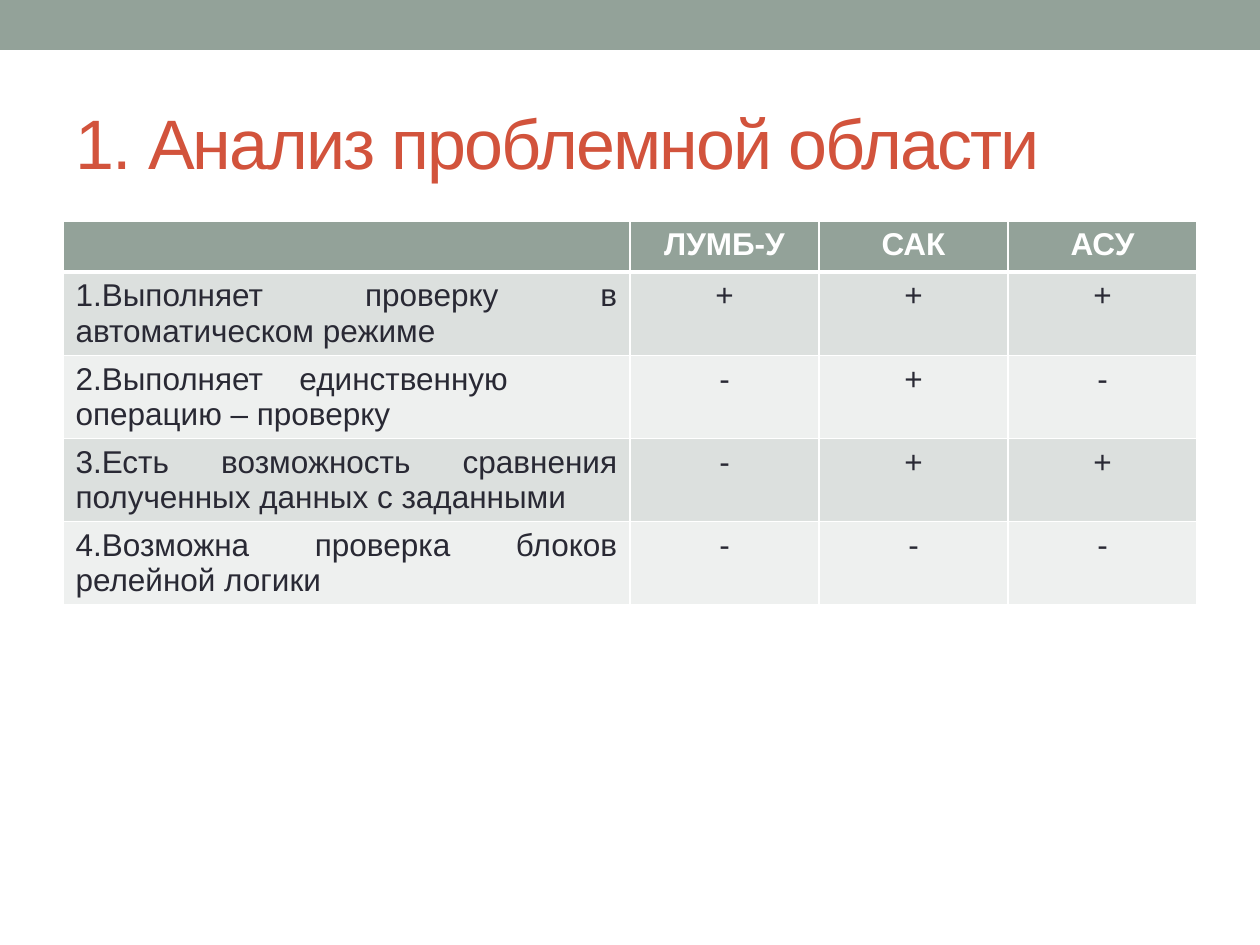
from lxml import etree
from pptx import Presentation
from pptx.dml.color import RGBColor
from pptx.enum.shapes import MSO_SHAPE
from pptx.enum.text import MSO_ANCHOR, MSO_AUTO_SIZE, PP_ALIGN
from pptx.oxml.ns import qn
from pptx.util import Pt

RECT = MSO_SHAPE.RECTANGLE
MIDDLE = MSO_ANCHOR.MIDDLE
NO_FIT = MSO_AUTO_SIZE.NONE
LEFT, CENTER, JUSTIFY = PP_ALIGN.LEFT, PP_ALIGN.CENTER, PP_ALIGN.JUSTIFY

SAGE = RGBColor(0x93, 0xA2, 0x99)
RUST = RGBColor(0xD2, 0x53, 0x3C)
INK = RGBColor(0x29, 0x29, 0x34)
WHITE = RGBColor(0xFF, 0xFF, 0xFF)
BANDS = [RGBColor(0xDC, 0xE0, 0xDE), RGBColor(0xEE, 0xF0, 0xEF)]

FONT = "Arial"
EMU_PER_PX = 914400 / 126

COL_WIDTHS = [567, 189, 189, 189]
HEADER_HEIGHT, ROW_HEIGHT = 51, 83
NARROW_ROW, NARROW_MARGIN = 2, 122
ROWS = [
    ["", "ЛУМБ-У", "САК", "АСУ"],
    ["1.Выполняет проверку в автоматическом режиме", "+", "+", "+"],
    ["2.Выполняет единственную операцию – проверку", "-", "+", "-"],
    ["3.Есть возможность сравнения полученных данных с заданными", "-", "+", "+"],
    ["4.Возможна проверка блоков релейной логики", "-", "-", "-"],
]


def px(n):
    return round(n * EMU_PER_PX)


def style_runs(p, size, color, bold=False):
    for r in p.runs:
        r.font.name = FONT
        r.font.size = Pt(size)
        r.font.bold = bold
        r.font.color.rgb = color


def add_band(s, x, y, w, h):
    sp = s.shapes.add_shape(RECT, px(x), px(y), px(w), px(h))
    sp.shadow.inherit = False
    sp.fill.solid()
    sp.fill.fore_color.rgb = SAGE
    sp.line.fill.background()


def set_title(s, x, y, w, h):
    sp = s.shapes.title
    sp.left, sp.top, sp.width, sp.height = px(x), px(y), px(w), px(h)
    tf = sp.text_frame
    tf.text = "1. Анализ проблемной области"
    tf.auto_size = NO_FIT
    tf.vertical_anchor = MIDDLE
    p = tf.paragraphs[0]
    p.alignment = LEFT
    style_runs(p, 40, RUST)
    p.runs[0].font._element.set("spc", "-100")


def set_borders(cell, bottom, top):
    """Draw white cell borders; bottom and top widths are in points."""
    tc_pr = cell._tc.get_or_add_tcPr()
    sides = [("a:lnL", 1), ("a:lnR", 1), ("a:lnT", top), ("a:lnB", bottom)]
    for i, (tag, width) in enumerate(sides):
        ln = etree.Element(qn(tag), w=str(Pt(width)))
        fill = etree.SubElement(ln, qn("a:solidFill"))
        etree.SubElement(fill, qn("a:srgbClr"), val=str(WHITE))
        tc_pr.insert(i, ln)


def add_comparison_table(s, x, y):
    height = HEADER_HEIGHT + ROW_HEIGHT * (len(ROWS) - 1)
    table = s.shapes.add_table(len(ROWS), len(COL_WIDTHS), px(x), px(y),
                               px(sum(COL_WIDTHS)), px(height)).table
    for col, width in zip(table.columns, COL_WIDTHS):
        col.width = px(width)
    for i, texts in enumerate(ROWS):
        header = i == 0
        table.rows[i].height = px(HEADER_HEIGHT if header else ROW_HEIGHT)
        for j, text in enumerate(texts):
            cell = table.cell(i, j)
            cell.text = text
            cell.fill.solid()
            cell.fill.fore_color.rgb = SAGE if header else BANDS[(i - 1) % 2]
            p = cell.text_frame.paragraphs[0]
            p.alignment = JUSTIFY if j == 0 and not header else CENTER
            style_runs(p, 18, WHITE if header else INK, header)
            set_borders(cell, bottom=3 if header else 1, top=3 if i == 1 else 1)
    table.cell(NARROW_ROW, 0).margin_right = px(NARROW_MARGIN)


def main():
    prs = Presentation()
    prs.slide_width, prs.slide_height = px(1260), px(945)
    s = prs.slides.add_slide(prs.slide_layouts[5])
    add_band(s, 0, 0, 1260, 50)
    set_title(s, 63, 73, 1134, 136)
    add_comparison_table(s, 63, 221)
    prs.save("out.pptx")


if __name__ == "__main__":
    main()
